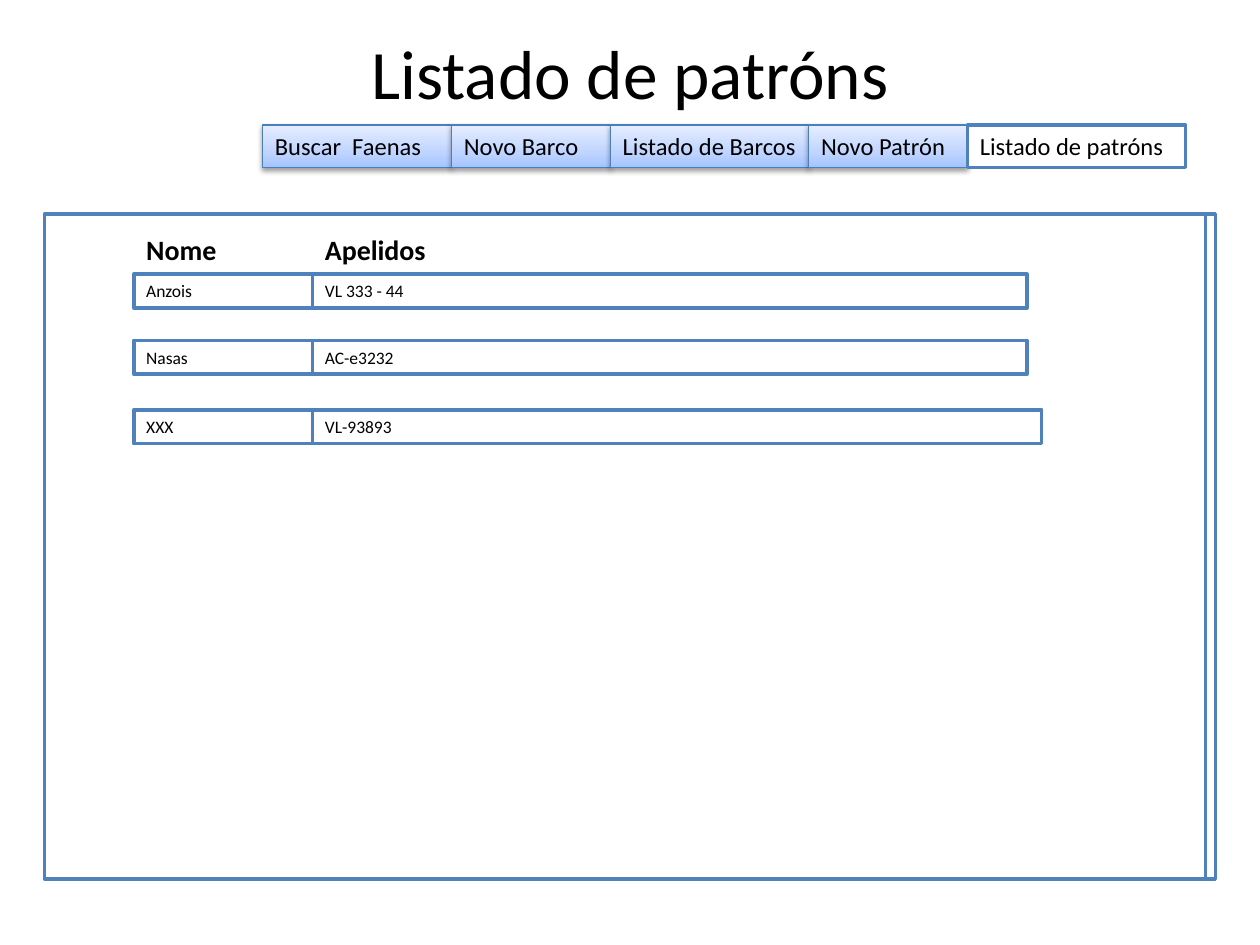
from copy import deepcopy

from pptx import Presentation
from pptx.dml.color import RGBColor
from pptx.enum.shapes import MSO_SHAPE as Shape
from pptx.enum.text import MSO_ANCHOR as Anchor, PP_ALIGN as Align
from pptx.oxml import parse_xml
from pptx.oxml.ns import nsdecls, qn
from pptx.util import Pt

WHITE, BLACK, BLUE, TAB_BLUE = "FFFFFF", "000000", "4F81BD", "4B7EBC"
TAB_STOPS = [(0, "A4C4FF"), (0.35, "BFD4FF"), (1, "E6EEFF")]
TAB_SHADOW = (
    f'<a:outerShdw {nsdecls("a")} blurRad="{Pt(3.1)}" dist="{Pt(1.6)}" '
    'dir="5400000" rotWithShape="0">'
    '<a:srgbClr val="000000"><a:alpha val="38000"/></a:srgbClr></a:outerShdw>'
)

TABS_LEFT, TABS_TOP, TAB_HEIGHT = 150, 71.4, 24.3
TABS = [("Buscar  Faenas", 108), ("Novo Barco", 90.7), ("Listado de Barcos", 113.4),
        ("Novo Patrón", 90.7), ("Listado de patróns", 124.7)]
ACTIVE_TAB = "Listado de patróns"

NAME_LEFT, NAME_WIDTH = 76.5, 102.1
SURNAME_LEFT = NAME_LEFT + NAME_WIDTH
HEADER_TOP, HEADER_HEIGHT, ROW_HEIGHT = 129.5, 26.7, 19.4
ROWS = [("Anzois", "VL 333 - 44", 156.7, 408.2),
        ("Nasas", "AC-e3232", 194.5, 408.2),
        ("XXX", "VL-93893", 234.2, 416.7)]


def color(hex_code):
    return RGBColor.from_string(hex_code)


def write(shape, text, size, bold=False, align=Align.LEFT, anchor=Anchor.TOP):
    frame = shape.text_frame
    frame.word_wrap = True
    frame.vertical_anchor = anchor
    paragraph = frame.paragraphs[0]
    paragraph.text = text
    paragraph.alignment = align
    font_format = {"name": "Calibri", "size": Pt(size), "bold": bold}
    for key, value in font_format.items():
        setattr(paragraph.font, key, value)
    paragraph.font.color.rgb = color(BLACK)


def add_label(slide, box, text, size, **style):
    label = slide.shapes.add_textbox(*map(Pt, box))
    write(label, text, size, **style)


def add_box(slide, box, text="", size=10, line=BLUE, line_width=2):
    rectangle = slide.shapes.add_shape(Shape.RECTANGLE, *map(Pt, box))
    rectangle.shadow.inherit = False
    rectangle.fill.solid()
    rectangle.fill.fore_color.rgb = color(WHITE)
    rectangle.line.color.rgb = color(line)
    rectangle.line.width = Pt(line_width)
    if text:
        write(rectangle, text, size)
    return rectangle


def add_raised_tab(slide, box, text):
    """Inactive tab: three-stop gradient and a soft shadow below."""
    tab = add_box(slide, box, text, 14, TAB_BLUE, 0.75)
    tab.fill.gradient()
    tab.fill.gradient_angle = 90
    properties = tab._element.spPr
    stop_list = properties.find(".//" + qn("a:gsLst"))
    stop_list.append(deepcopy(stop_list[-1]))
    for stop, (position, hex_code) in zip(tab.fill.gradient_stops, TAB_STOPS):
        stop.position = position
        stop.color.rgb = color(hex_code)
    properties.find(qn("a:effectLst")).append(parse_xml(TAB_SHADOW))


def add_menu(slide):
    left = TABS_LEFT
    for text, width in TABS:
        box = (left, TABS_TOP, width, TAB_HEIGHT)
        if text == ACTIVE_TAB:
            add_box(slide, box, text, 14)
        else:
            add_raised_tab(slide, box, text)
        left += width


def add_listing(slide):
    for name, surname, top, surname_width in ROWS:
        add_box(slide, (NAME_LEFT, top, NAME_WIDTH, ROW_HEIGHT), name)
        add_box(slide, (SURNAME_LEFT, top, surname_width, ROW_HEIGHT), surname)
    for left, heading in [(NAME_LEFT, "Nome"), (SURNAME_LEFT, "Apelidos")]:
        add_label(slide, (left, HEADER_TOP, NAME_WIDTH, HEADER_HEIGHT), heading, 16, bold=True)


def main():
    deck = Presentation()
    deck.slide_width, deck.slide_height = Pt(720), Pt(540)
    slide = deck.slides.add_slide(deck.slide_layouts[6])
    add_label(slide, (36, 21.6, 648, 39), "Listado de patróns", 39.6,
              align=Align.CENTER, anchor=Anchor.MIDDLE)
    add_menu(slide)
    for panel_left in (31.2, 25.5):
        add_box(slide, (panel_left, 122.4, 663.3, 380))
    add_listing(slide)
    deck.save("out.pptx")


if __name__ == "__main__":
    main()
